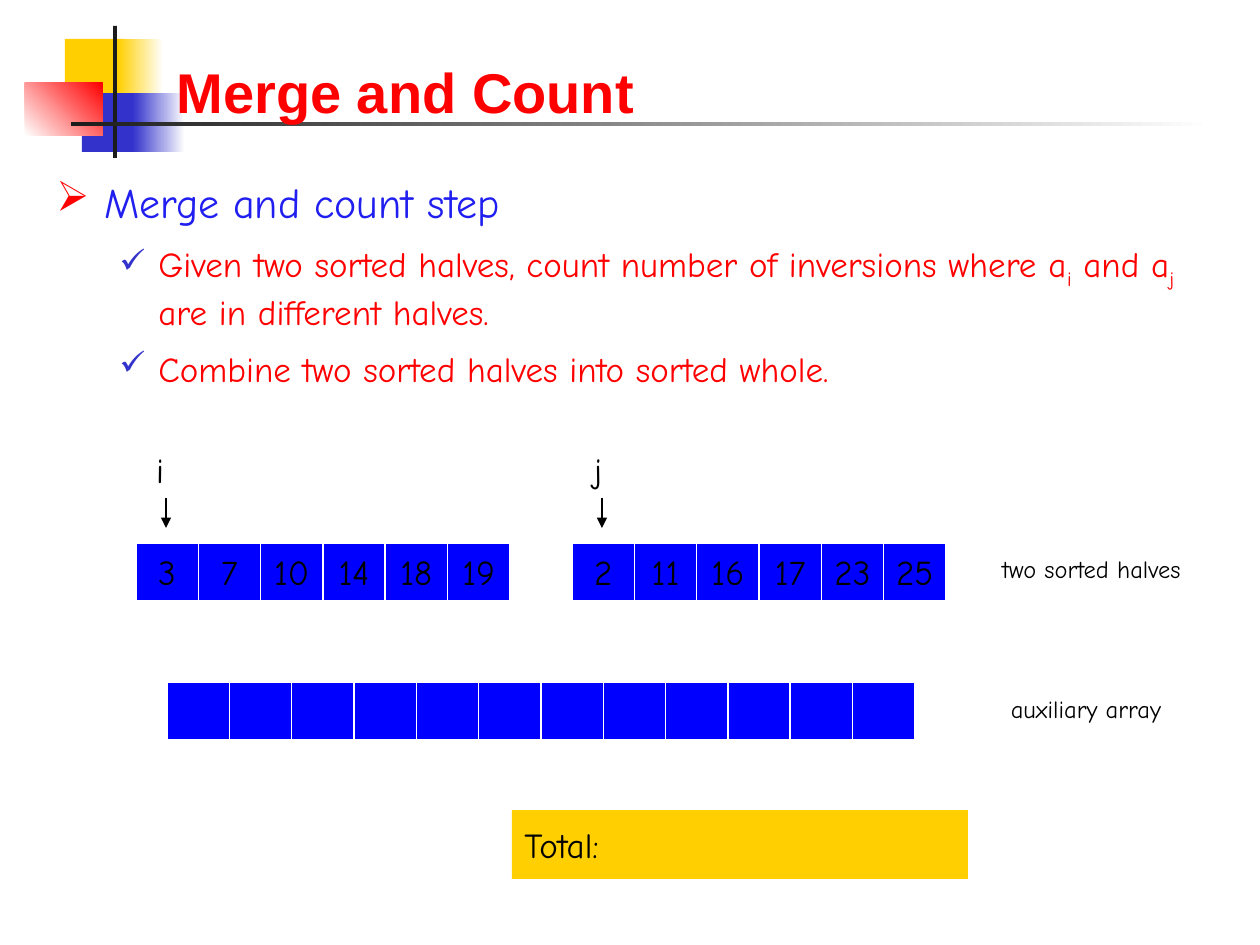
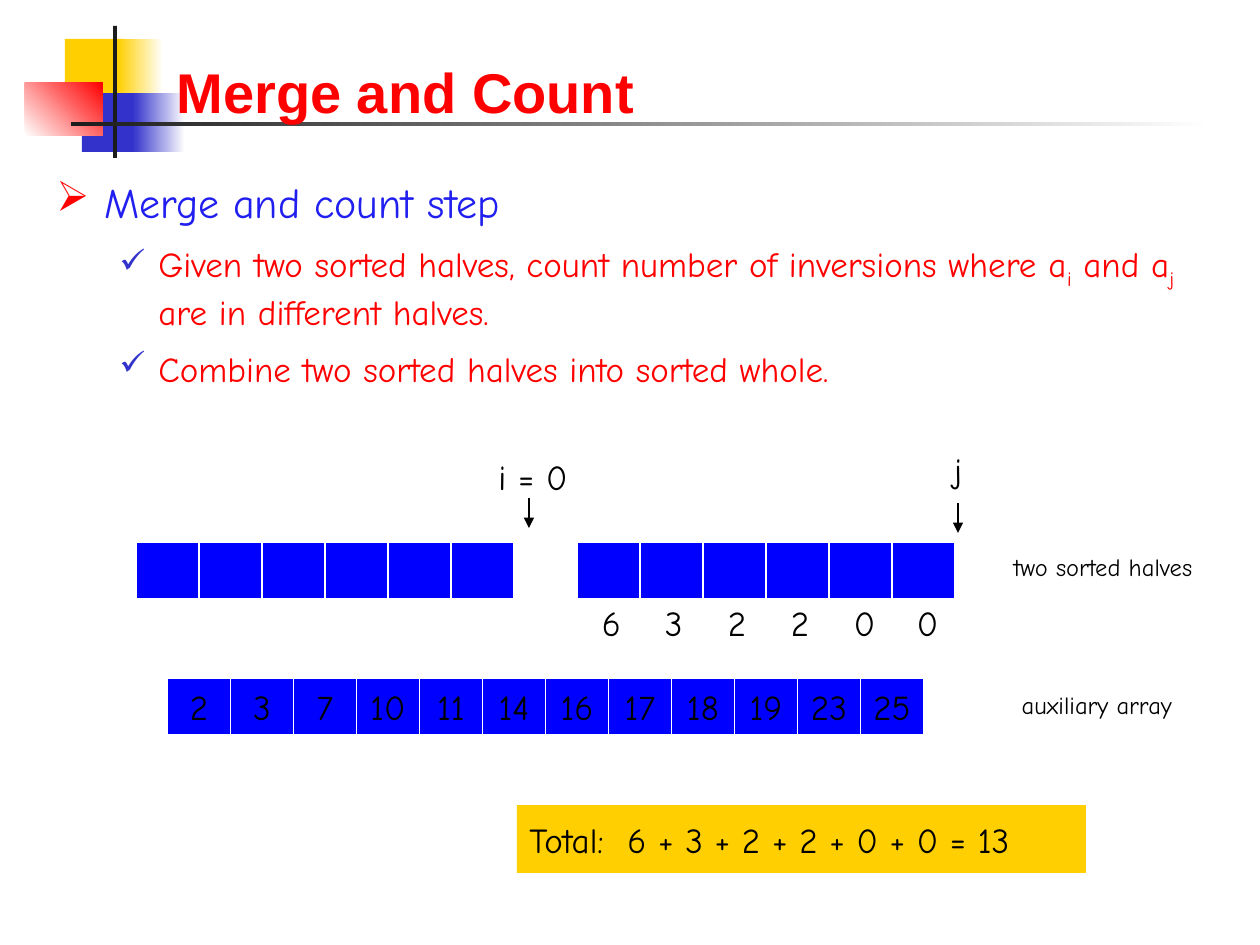
from dataclasses import dataclass

import lxml.etree
import pptx
import pptx.dml.color
import pptx.enum.shapes
import pptx.enum.text
import pptx.oxml.ns
import pptx.util


@dataclass(frozen=True)
class Theme:
    red: str = "FF0000"
    gold: str = "FFCF01"
    indigo: str = "3333CC"
    heading: str = "201FF0"
    cell: str = "0000FF"
    rule: str = "1C1C1C"
    white: str = "FFFFFF"
    black: str = "000000"
    title_font: str = "Arial"
    body_font: str = "Comic Neue"
    title_size: int = 32
    heading_size: int = 24
    text_size: int = 20
    note_size: int = 14


theme = Theme()
color = pptx.dml.color.RGBColor.from_string
qn = pptx.oxml.ns.qn
align = pptx.enum.text.PP_ALIGN
anchor = pptx.enum.text.MSO_ANCHOR
EMU_PER_PX = 914400 / 126


def px(*lengths):
    return [pptx.util.Emu(round(length * EMU_PER_PX)) for length in lengths]


def add_box(page, frame, text="", fill=None, size=theme.text_size,
            alignment=align.CENTER):
    """Add a filled rectangle, or a plain text box when there is no fill."""
    if fill:
        box = page.shapes.add_shape(
            pptx.enum.shapes.MSO_SHAPE.RECTANGLE, *px(*frame))
        box.shadow.inherit = False
        box.fill.solid()
        box.fill.fore_color.rgb = color(fill)
        box.line.fill.background()
    else:
        box = page.shapes.add_textbox(*px(*frame))
    box.text_frame.word_wrap = True
    if text:
        para = box.text_frame.paragraphs[0]
        para.text = text
        para.alignment = alignment
        para.font.name = theme.body_font
        para.font.size = pptx.util.Pt(size)
        para.font.color.rgb = color(theme.black)
    return box


# Frame, colour at the start, colour at the end, gradient angle
bands = [
    ((65, 39, 60, 59), theme.gold, None, 0),
    ((118, 39, 45, 59), theme.gold, theme.white, 0),
    ((82, 93, 59, 59), theme.indigo, None, 0),
    ((133, 93, 52, 59), theme.indigo, theme.white, 0),
    ((25, 83, 78, 53), theme.white, theme.red, 45),
    ((113, 26, 4, 132), theme.rule, None, 0),
    ((71, 122, 1141, 4), theme.rule, theme.white, 0),
]

# Text with subscript flag, indent, hanging, space before, bullet, bullet colour
bullets = [
    ([("Merge and count step", False)], 48, 48, 0, "➢", theme.red),
    ([("Given two sorted halves, count number of inversions where a", False),
      ("i", True), (" and a", False), ("j", True),
      (" are in different halves.", False)], 102, 39, 9, "✓", theme.indigo),
    ([("Combine two sorted halves into sorted whole.", False)],
     102, 39, 9, "✓", theme.indigo),
]

HALF = 6
ARRAY_LEFT = 136
pages = [
    dict(
        array_width=810, cell_height=58, halves_top=543, auxiliary_top=682,
        halves=[3, 7, 10, 14, 18, 19, 2, 11, 16, 17, 23, 25],
        auxiliary=[""] * 2 * HALF, counts=[],
        pointers=[("i", (123, 442, 74, 55)), ("j", (561, 442, 74, 55))],
        arrows=[(166, 498), (602, 498)],
        notes=[("two sorted halves", (958, 548, 267, 48)),
               ("auxiliary array", (956, 688, 260, 48))],
        total="Total:", total_frame=(512, 810, 456, 69),
    ),
    dict(
        array_width=819, cell_height=57, halves_top=542, auxiliary_top=678,
        halves=[""] * 2 * HALF,
        auxiliary=[2, 3, 7, 10, 11, 14, 16, 17, 18, 19, 23, 25],
        counts=[6, 3, 2, 2, 0, 0],
        pointers=[("i = 0", (402, 449, 262, 55)), ("j", (828, 442, 260, 55))],
        arrows=[(529, 498), (958, 503)],
        notes=[("two sorted halves", (968, 546, 270, 47)),
               ("auxiliary array", (966, 684, 262, 47))],
        total="Total:\t6 + 3 + 2 + 2 + 0 + 0 = 13",
        total_frame=(517, 805, 569, 68),
    ),
]

deck = pptx.Presentation()
deck.slide_width, deck.slide_height = px(1260, 945)
layout = deck.slide_layouts[5]

for number, content in enumerate(pages):
    page = deck.slides.add_slide(layout)

    # The bands are drawn once and kept on the shared layout
    if number == 0:
        for index, (frame, start, end, angle) in enumerate(bands):
            band = add_box(page, frame, fill=start)
            if end:
                band.fill.gradient()
                band.fill.gradient_angle = angle
                for stop, shade in zip(band.fill.gradient_stops, (start, end)):
                    stop.color.rgb = color(shade)
            band.element.nvSpPr.cNvPr.set("id", str(100 + index))
            layout.shapes.element.append(band.element)

    title = page.shapes.title
    title.left, title.top, title.width, title.height = px(164, 37, 1038, 94)
    title.text_frame.text = "Merge and Count"
    title.text_frame.vertical_anchor = anchor.BOTTOM
    title.text_frame.auto_size = pptx.enum.text.MSO_AUTO_SIZE.NONE
    para = title.text_frame.paragraphs[0]
    para.alignment = align.LEFT
    span = para.runs[0]
    span.font.name = theme.title_font
    span.font.size = pptx.util.Pt(theme.title_size)
    span.font.bold = True
    span.font.color.rgb = color(theme.red)

    body = add_box(page, (44, 165, 1171, 277))
    for index, (parts, indent, hanging, before, mark, mark_color) in enumerate(bullets):
        frame = body.text_frame
        para = frame.add_paragraph() if index else frame.paragraphs[0]
        para.level = 1 if index else 0
        para.line_spacing = 1.0 if index else 1.1
        para.space_before = pptx.util.Pt(before)
        properties = para._p.get_or_add_pPr()
        margin, hang = px(indent, hanging)
        properties.set("marL", str(margin))
        properties.set("indent", str(-hang))
        bullet_color = lxml.etree.SubElement(properties, qn("a:buClr"))
        lxml.etree.SubElement(bullet_color, qn("a:srgbClr"), val=mark_color)
        if index:
            lxml.etree.SubElement(properties, qn("a:buSzPct"), val="95000")
        lxml.etree.SubElement(properties, qn("a:buChar"), char=mark)
        for text, subscript in parts:
            span = para.add_run()
            span.text = text
            span.font.name = theme.body_font
            span.font.size = pptx.util.Pt(
                theme.text_size if index else theme.heading_size)
            span.font.color.rgb = color(theme.red if index else theme.heading)
            if subscript:
                span._r.get_or_add_rPr().set("baseline", "-25000")

    # Two halves with a one-cell gap; the auxiliary row starts half a cell in
    cell_width = content["array_width"] / (2 * HALF + 1)
    for row, top in (("halves", content["halves_top"]),
                     ("auxiliary", content["auxiliary_top"])):
        for index, value in enumerate(content[row]):
            column = index + (index >= HALF if row == "halves" else 0.5)
            cell = add_box(page, (ARRAY_LEFT + column * cell_width, top,
                                  cell_width, content["cell_height"]),
                           str(value), theme.cell)
            cell.line.color.rgb = color(theme.white)
            cell.line.width = pptx.util.Pt(0.75)
            cell.text_frame.word_wrap = False
            cell.text_frame.vertical_anchor = anchor.MIDDLE

    for index, count in enumerate(content["counts"]):
        center = ARRAY_LEFT + (HALF + 1.5 + index) * cell_width
        add_box(page, (center - 19, 595, 38, 55), str(count))

    for text, frame in content["notes"]:
        add_box(page, frame, text, size=theme.note_size)
    for text, frame in content["pointers"]:
        add_box(page, frame, text)

    for left, top in content["arrows"]:
        arrow = page.shapes.add_connector(
            pptx.enum.shapes.MSO_CONNECTOR.STRAIGHT,
            *px(left, top, left, top + 30))
        arrow.line.color.rgb = color(theme.black)
        arrow.line.width = pptx.util.Pt(0.75)
        lxml.etree.SubElement(arrow.line._get_or_add_ln(), qn("a:tailEnd"),
                              type="triangle")
        lxml.etree.SubElement(arrow.element.spPr, qn("a:effectLst"))

    total = add_box(page, content["total_frame"], content["total"], theme.gold,
                    alignment=align.LEFT)
    total.text_frame.vertical_anchor = anchor.TOP
    total.text_frame.margin_top, total.text_frame.margin_bottom = px(13, 13)
    if "\t" in content["total"]:
        properties = total.text_frame.paragraphs[0]._p.get_or_add_pPr()
        tabs = lxml.etree.Element(qn("a:tabLst"))
        lxml.etree.SubElement(tabs, qn("a:tab"), pos=str(px(98)[0]), algn="l")
        properties.insert(0, tabs)

deck.save("out.pptx")
